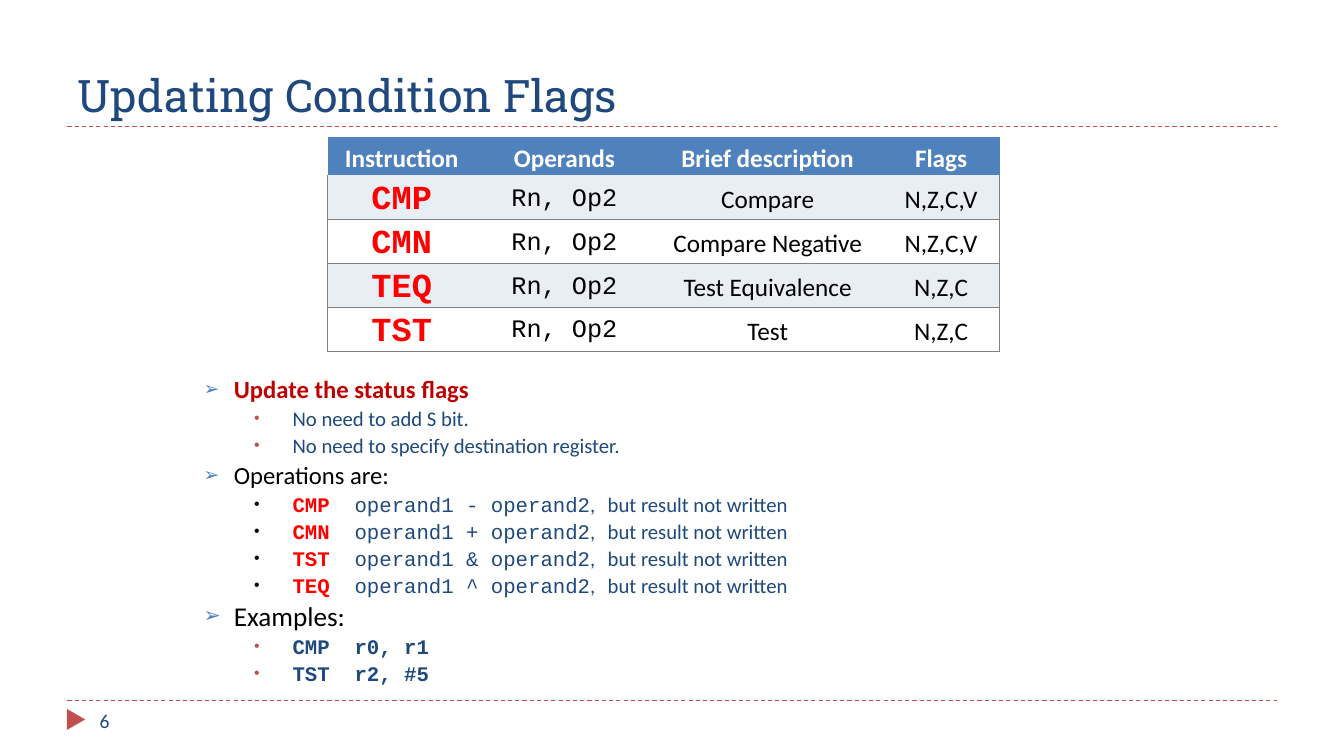
from dataclasses import dataclass

from lxml import etree
from pptx import Presentation
from pptx.dml.color import RGBColor
from pptx.enum.dml import MSO_LINE
from pptx.enum.shapes import MSO_CONNECTOR, MSO_SHAPE
from pptx.enum.text import MSO_ANCHOR, MSO_AUTO_SIZE, PP_ALIGN
from pptx.oxml.ns import qn
from pptx.util import Cm, Pt

STRAIGHT = MSO_CONNECTOR.STRAIGHT
TRIANGLE = MSO_SHAPE.ISOSCELES_TRIANGLE
DASH = MSO_LINE.DASH
BOTTOM, MIDDLE, TOP = MSO_ANCHOR.BOTTOM, MSO_ANCHOR.MIDDLE, MSO_ANCHOR.TOP
LEFT, CENTER = PP_ALIGN.LEFT, PP_ALIGN.CENTER
NO_FIT = MSO_AUTO_SIZE.NONE
NO_TABLE_STYLE = "{2D5ABB26-0587-4C30-8999-92F81FD0307C}"


@dataclass(frozen=True)
class Theme:
    navy: str = "1F497D"
    blue: str = "4F81BD"
    brick: str = "C0504D"
    crimson: str = "C00000"
    red: str = "FF0000"
    black: str = "000000"
    white: str = "FFFFFF"
    band: str = "E9EDF4"
    rule: str = "7F7F7F"
    sans: str = "Calibri"
    code: str = "Courier New"
    slab: str = "Roboto Slab"
    title_size: float = 32
    mnemonic_size: float = 24
    table_size: float = 18
    examples_size: float = 19.4
    topic_size: float = 17.6
    detail_size: float = 14.8
    number_size: float = 14


THEME = Theme()

HEADINGS = ["Instruction", "Operands", "Brief description", "Flags"]
INSTRUCTIONS = [
    ("CMP", "Compare", "N,Z,C,V"),
    ("CMN", "Compare Negative", "N,Z,C,V"),
    ("TEQ", "Test Equivalence", "N,Z,C"),
    ("TST", "Test", "N,Z,C"),
]
OPERATIONS = [("CMP", "-"), ("CMN", "+"), ("TST", "&"), ("TEQ", "^")]
EXAMPLES = ["CMP  r0, r1", "TST  r2, #5"]


def add_run(paragraph, text, size, color, font=THEME.sans, bold=False):
    run = paragraph.add_run()
    run.text = text
    run.font.name = font
    run.font.size = Pt(size)
    run.font.bold = bold
    run.font.color.rgb = RGBColor.from_string(color)


def place(shape, left, top, width, height):
    shape.left, shape.top, shape.width, shape.height = left, top, width, height


def add_dashed_rule(slide, left, top, width):
    connector = slide.shapes.add_connector(STRAIGHT, left, top, left + width, top)
    connector.line.color.rgb = RGBColor.from_string(THEME.brick)
    connector.line.width = Pt(0.75)
    connector.line.dash_style = DASH
    etree.SubElement(connector._element.spPr, qn("a:effectLst"))


def add_title(slide, left, top, width, height):
    title = slide.shapes.title
    place(title, left, top, width, height)
    frame = title.text_frame
    frame.auto_size = NO_FIT
    frame.vertical_anchor = BOTTOM
    paragraph = frame.paragraphs[0]
    paragraph.alignment = LEFT
    add_run(paragraph, "Updating Condition Flags", THEME.title_size, THEME.navy, THEME.slab)
    add_dashed_rule(slide, left, top + height, width)


def set_border(cell, side, color):
    line = etree.SubElement(cell._tc.get_or_add_tcPr(), qn(f"a:{side}"), w=str(Pt(0.75)))
    fill = etree.SubElement(line, qn("a:solidFill"))
    etree.SubElement(fill, qn("a:srgbClr"), val=color)


def fill_cell(cell, text, fill, border_sides, border_color, **style):
    for side in border_sides:
        set_border(cell, side, border_color)
    cell.fill.solid()
    cell.fill.fore_color.rgb = RGBColor.from_string(fill)
    cell.vertical_anchor = MIDDLE
    cell.margin_left = cell.margin_right = Cm(0.18)
    cell.margin_top = cell.margin_bottom = 0
    paragraph = cell.text_frame.paragraphs[0]
    paragraph.alignment = CENTER
    paragraph.line_spacing = 1.15
    add_run(paragraph, text, **style)


def add_instruction_table(slide, left, top, width, height):
    rows, columns = len(INSTRUCTIONS) + 1, len(HEADINGS)
    frame = slide.shapes.add_table(rows, columns, left, top, width, height)
    table = frame.table
    table._tbl.tblPr.find(qn("a:tableStyleId")).text = NO_TABLE_STYLE
    shares = [0.22, 0.264, 0.341, 0.175]
    for column, share in zip(table.columns, shares):
        column.width = int(width * share)
    header_height = Cm(0.97)
    for index, row in enumerate(table.rows):
        row.height = (height - header_height) // (rows - 1) if index else header_height

    for index, heading in enumerate(HEADINGS):
        fill_cell(table.cell(0, index), heading, THEME.blue, [], THEME.blue,
                  size=THEME.table_size, color=THEME.white, bold=True)

    mnemonic = dict(size=THEME.mnemonic_size, color=THEME.red, font=THEME.code, bold=True)
    plain = dict(size=THEME.table_size, color=THEME.black)
    styles = [mnemonic, {**plain, "font": THEME.code}, plain, plain]
    outer_sides = {0: ["lnL"], columns - 1: ["lnR"]}
    for row, (name, description, flags) in enumerate(INSTRUCTIONS, 1):
        fill = THEME.band if row % 2 else THEME.white
        for column, text in enumerate([name, "Rn, Op2", description, flags]):
            sides = outer_sides.get(column, []) + ["lnB"]
            fill_cell(table.cell(row, column), text, fill, sides, THEME.rule, **styles[column])


def add_bullet(frame, level, bullet_color):
    first = not frame.paragraphs[0].runs
    paragraph = frame.paragraphs[0] if first else frame.add_paragraph()
    paragraph.level = level
    margin, hanging, character, space = [
        (Cm(0.76), Cm(0.76), "➢", 6),
        (Cm(2.24), Cm(0.97), "•", 5),
    ][level]
    properties = paragraph._p.get_or_add_pPr()
    properties.set("marL", str(margin))
    properties.set("indent", str(-hanging))
    color = etree.SubElement(properties, qn("a:buClr"))
    etree.SubElement(color, qn("a:srgbClr"), val=bullet_color)
    etree.SubElement(properties, qn("a:buSzPct"), val="76000")
    etree.SubElement(properties, qn("a:buFont"), typeface="Arial")
    etree.SubElement(properties, qn("a:buChar"), char=character)
    paragraph.alignment = LEFT
    paragraph.line_spacing = 0.8
    paragraph.space_before = Pt(0 if first else space)
    return paragraph


def add_topic(frame, text, size=THEME.topic_size, color=THEME.black, bold=False):
    add_run(add_bullet(frame, 0, THEME.blue), text, size, color, bold=bold)


def add_notes_list(slide, left, top, width, height):
    body = slide.placeholders[1]
    place(body, left, top, width, height)
    frame = body.text_frame
    frame.auto_size = NO_FIT
    frame.vertical_anchor = TOP
    size = THEME.detail_size

    add_topic(frame, "Update the status flags", color=THEME.crimson, bold=True)
    for text in ["No need to add S bit.", "No need to specify destination register."]:
        add_run(add_bullet(frame, 1, THEME.brick), text, size, THEME.navy)

    add_topic(frame, "Operations are:")
    for name, operator in OPERATIONS:
        paragraph = add_bullet(frame, 1, THEME.black)
        add_run(paragraph, f"{name}  ", size, THEME.red, THEME.code, True)
        add_run(paragraph, f"operand1 {operator} operand2", size, THEME.navy, THEME.code)
        add_run(paragraph, ",", size, THEME.navy)
        add_run(paragraph, " ", size, THEME.navy, THEME.code)
        add_run(paragraph, "but result not written", size, THEME.navy)

    add_topic(frame, "Examples:", THEME.examples_size)
    for example in EXAMPLES:
        add_run(add_bullet(frame, 1, THEME.brick), example, size, THEME.navy, THEME.code, True)


def add_footer(slide, left, top, width, height):
    add_dashed_rule(slide, left, top, width)
    marker = slide.shapes.add_shape(TRIANGLE, left - Cm(0.05), top + Cm(0.25), Cm(0.53), Cm(0.46))
    marker.rotation = 90
    marker.shadow.inherit = False
    marker.fill.solid()
    marker.fill.fore_color.rgb = RGBColor.from_string(THEME.brick)
    marker.line.fill.background()
    number = slide.shapes.add_textbox(left + Cm(0.56), top, Cm(7.34), height)
    number.text_frame.word_wrap = True
    number.text_frame.vertical_anchor = MIDDLE
    add_run(number.text_frame.paragraphs[0], "6", THEME.number_size, THEME.navy)


def main():
    presentation = Presentation()
    presentation.slide_width, presentation.slide_height = Cm(33.87), Cm(19.05)
    slide = presentation.slides.add_slide(presentation.slide_layouts[1])
    add_title(slide, Cm(1.7), Cm(0.43), Cm(30.48), Cm(2.75))
    add_notes_list(slide, Cm(4.88), Cm(9.45), Cm(23.7), Cm(8.2))
    add_instruction_table(slide, Cm(8.26), Cm(3.45), Cm(16.94), Cm(5.4))
    add_footer(slide, Cm(1.7), Cm(17.65), Cm(30.48), Cm(1.02))
    presentation.save("out.pptx")


if __name__ == "__main__":
    main()
